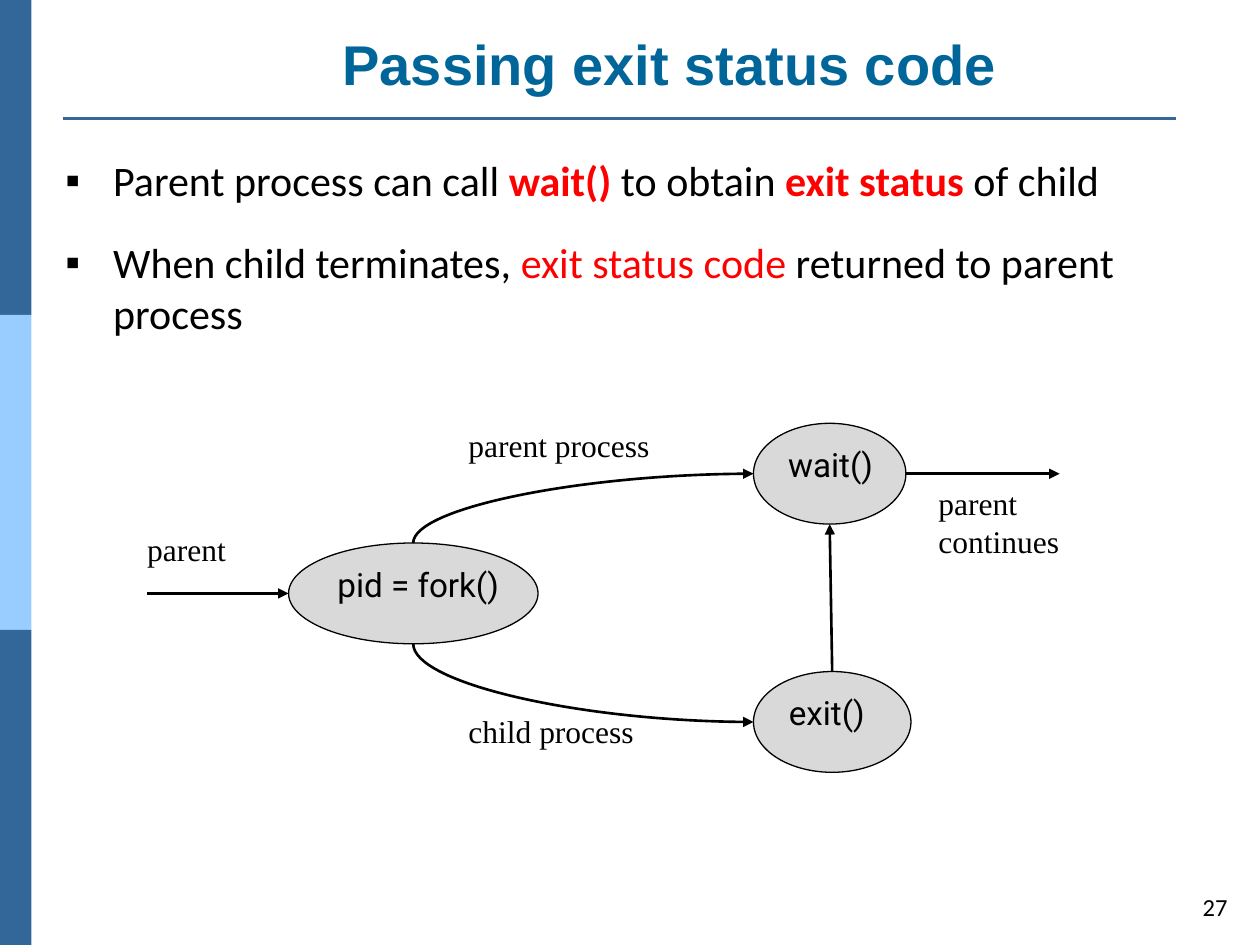
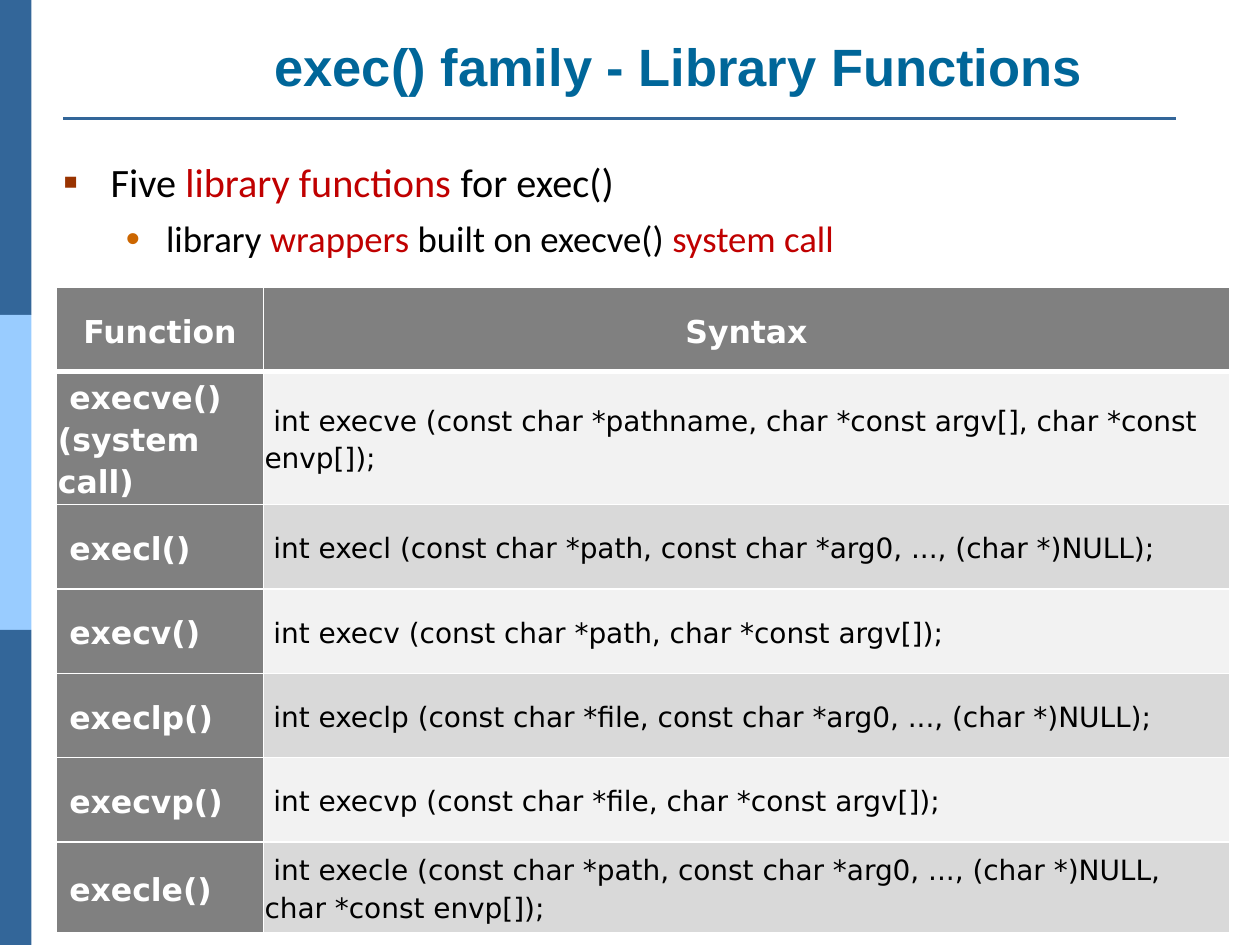
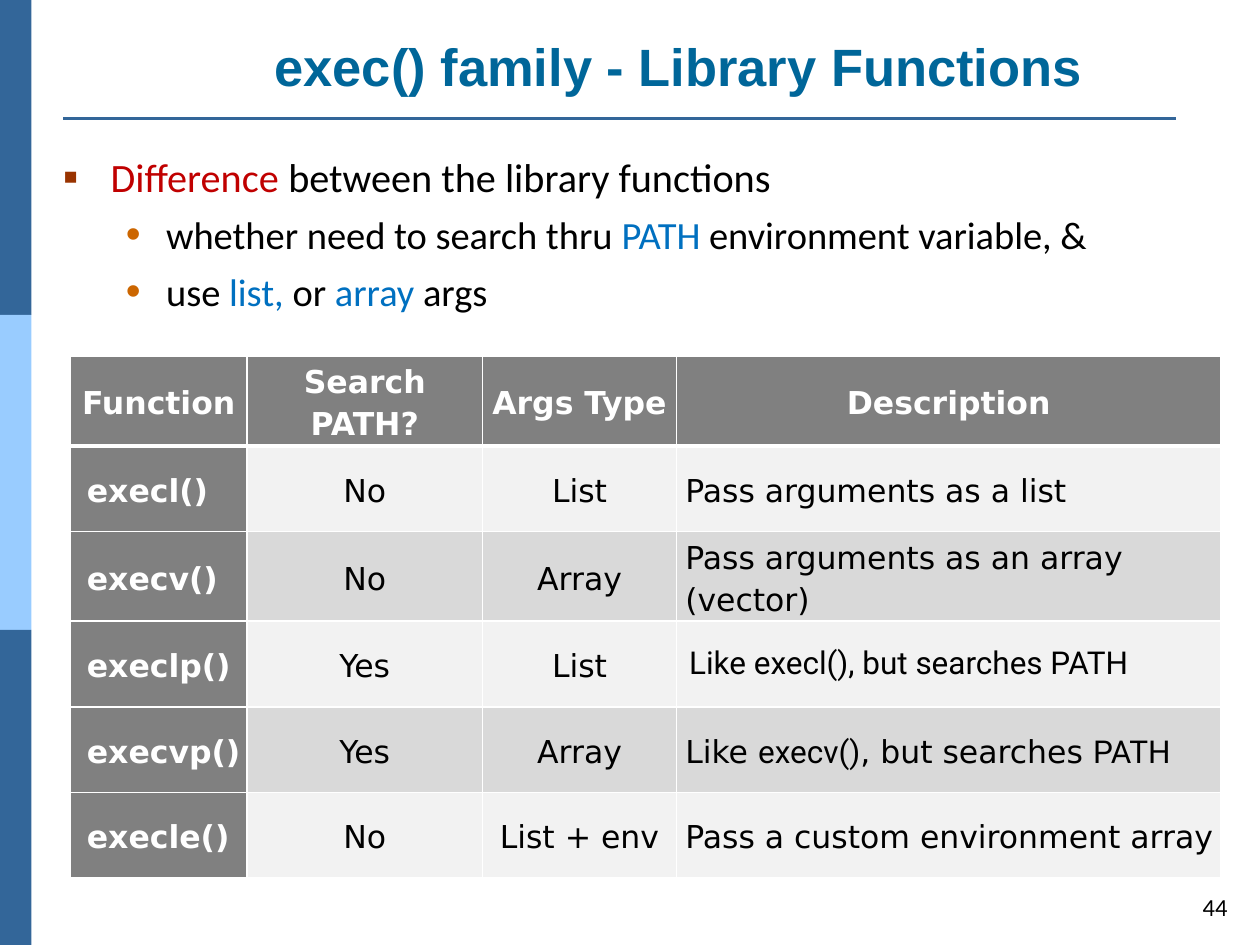
from dataclasses import dataclass

from lxml import etree
from pptx import Presentation
from pptx import util as u
from pptx.dml.color import RGBColor
from pptx.enum import shapes, text
from pptx.oxml.ns import qn


@dataclass(frozen=True)
class Theme:
    band: str = "336699"
    band_light: str = "99CCFF"
    title: str = "006699"
    black: str = "000000"
    white: str = "FFFFFF"
    alert: str = "FF0000"
    key: str = "C00000"
    option: str = "0070C0"
    square_bullet: str = "993300"
    dot_bullet: str = "CC6600"
    node: str = "D9D9D9"
    head_cell: str = "808080"
    row_cells: tuple = ("F2F2F2", "D9D9D9")
    title_font: str = "Arial"
    body_font: str = "Calibri"
    table_font: str = "DejaVu Sans"
    code_font: str = "Roboto"
    label_font: str = "Times New Roman"
    number_size: int = 14
    node_size: int = 19
    label_size: int = 18
    cell_size: int = 18
    syntax_size: int = 16


THEME = Theme()
RUN_STYLES = {
    "alert": {"color": THEME.alert},
    "strong": {"color": THEME.alert, "bold": True},
    "key": {"color": THEME.key},
    "option": {"color": THEME.option},
    "code": {"font": THEME.code_font},
}
MIDDLE, TOP = text.MSO_ANCHOR.MIDDLE, text.MSO_ANCHOR.TOP
LEFT, CENTER, RIGHT = text.PP_ALIGN.LEFT, text.PP_ALIGN.CENTER, text.PP_ALIGN.RIGHT

STATUS_TITLE = {"text": "Passing exit status code", "size": 32,
                "box": (1.13, 0.12, 8.37, 0.76), "anchor": MIDDLE}
EXEC_TITLE = {"text": "exec() family - Library Functions", "size": 30,
              "box": (0.98, 0.22, 8.81, 0.61), "anchor": TOP}

PLAIN_SQUARE = {"char": "▪", "level": 0, "margin": 0.38, "hang": 0.38,
                "color": THEME.black, "percent": 100}
SQUARE = {**PLAIN_SQUARE, "color": THEME.square_bullet, "percent": 110}
DOT = {"char": "•", "level": 1, "margin": 0.82, "hang": 0.32,
       "color": THEME.dot_bullet, "percent": 110}

STATUS_BULLETS = [
    (PLAIN_SQUARE, 24, ["Parent process can call ", ("wait() ", "strong"), "to obtain ",
                        ("exit status ", "strong"), "of child"]),
    (PLAIN_SQUARE, 24, ["When child terminates, ", ("exit status code ", "alert"),
                        "returned to parent process"]),
]
SYNTAX_BULLETS = [
    (SQUARE, 23, ["Five ", ("library functions ", "key"), "for exec()"]),
    (DOT, 21, ["library ", ("wrappers", "key"), " built on execve() ", ("system call", "key")]),
]
DIFFERENCE_BULLETS = [
    (SQUARE, 23, [("Difference ", "key"), "between the library functions"]),
    (DOT, 22, ["whether need to search thru ", ("PATH", "option"), " environment variable, &"]),
    (DOT, 22, ["use ", ("list,", "option"), " or ", ("array ", "option"), "args"]),
]

NODES = {
    "fork": ("pid = fork()", (2.29, 4.31, 1.98, 0.8)),
    "wait": ("wait()", (5.98, 3.36, 1.21, 0.8)),
    "exit": ("exit()", (5.98, 5.33, 1.25, 0.8)),
}
FLOW_LABELS = [
    ("parent", (1.07, 4.16, 1.34, 0.43)),
    ("parent process", (3.62, 3.33, 2.03, 0.43)),
    ("child process", (3.62, 5.6, 1.84, 0.43)),
    ("parent continues", (7.35, 3.79, 1.34, 0.76)),
]

SYNTAX_TABLE = {
    "origin": (0.45, 2.28),
    "widths": [1.64, 7.67],
    "heights": [0.67] * 6 + [0.72],
    "columns": [
        {"first": 0.09},
        {"first": 0.07, "size": THEME.syntax_size},
    ],
    "rows": [
        ["Function", "Syntax"],
        ["execve() (system call)",
         "int execve (const char *pathname, char *const argv[], char *const envp[]);"],
        ["execl()", "int execl (const char *path, const char *arg0, ..., (char *)NULL);"],
        ["execv()", "int execv (const char *path, char *const argv[]);"],
        ["execlp()", "int execlp (const char *file, const char *arg0, ..., (char *)NULL);"],
        ["execvp()", "int execvp (const char *file, char *const argv[]);"],
        ["execle()",
         "int execle (const char *path, const char *arg0, ..., (char *)NULL, char *const envp[]);"],
    ],
}
DIFFERENCE_TABLE = {
    "origin": (0.56, 2.83),
    "widths": [1.4, 1.87, 1.54, 4.32],
    "heights": [0.68] * 6,
    "columns": [{"margin": 0.12}, {"align": CENTER}, {"align": CENTER}, {"margin": 0.06}],
    "rows": [
        ["Function", "Search PATH?", "Args Type", "Description"],
        ["execl()", "No", "List", "Pass arguments as a list"],
        ["execv()", "No", "Array", "Pass arguments as an array (vector)"],
        ["execlp()", "Yes", "List", [("Like execl(), but searches PATH", "code")]],
        ["execvp()", "Yes", "Array",
         ["Like ", ("execv()", "code"), ", but searches ", ("PATH", "code")]],
        ["execle()", "No", "List + env", "Pass a custom environment array"],
    ],
}


def inches(values):
    return [u.Inches(value) for value in values]


def rgb(color):
    return RGBColor.from_string(color)


def add_xml(parent, tag, **attributes):
    child = etree.SubElement(parent, qn(tag))
    for name, value in attributes.items():
        child.set(name, str(value))
    return child


def write_runs(paragraph, runs, font, size, color=THEME.black, bold=False):
    for item in [runs] if isinstance(runs, str) else runs:
        words, style_name = (item, None) if isinstance(item, str) else item
        style = RUN_STYLES.get(style_name, {})
        run = paragraph.add_run()
        run.text = words
        run.font.name = style.get("font", font)
        run.font.size = u.Pt(size)
        run.font.bold = style.get("bold", bold)
        run.font.color.rgb = rgb(style.get("color", color))


def add_text(slide, box, runs, font, size, align=LEFT, anchor=TOP):
    frame = slide.shapes.add_textbox(*inches(box)).text_frame
    frame.word_wrap = True
    frame.vertical_anchor = anchor
    frame.paragraphs[0].alignment = align
    write_runs(frame.paragraphs[0], runs, font, size)


def add_filled(slide, kind, box, color):
    shape = slide.shapes.add_shape(kind, *inches(box))
    shape.shadow.inherit = False
    shape.fill.solid()
    shape.fill.fore_color.rgb = rgb(color)
    shape.line.fill.background()
    return shape


def add_line(slide, start, end, color=THEME.black, arrow=False):
    connector = slide.shapes.add_connector(
        shapes.MSO_CONNECTOR.STRAIGHT, *inches(start + end))
    connector.line.width = u.Pt(1.5)
    connector.line.color.rgb = rgb(color)
    properties = connector._element.spPr
    if arrow:
        add_xml(properties.find(qn("a:ln")), "a:tailEnd", type="triangle")
    add_xml(properties, "a:effectLst")
    return connector


def add_curve(slide, start, end):
    connector = add_line(slide, start, end, arrow=True)
    rising = end[1] < start[1]
    width, height = abs(end[1] - start[1]), abs(end[0] - start[0])
    connector.left = u.Inches((start[0] + end[0] - width) / 2)
    connector.top = u.Inches((start[1] + end[1] - height) / 2)
    connector.width, connector.height = inches((width, height))
    properties = connector._element.spPr
    properties.find(qn("a:prstGeom")).set("prst", "curvedConnector2")
    transform = properties.find(qn("a:xfrm"))
    transform.set("rot", str((90 if rising else 270) * 60000))
    transform.set("flipH", "1")
    transform.set("flipV", "1" if rising else "0")


def add_base(presentation, title, number=None):
    slide = presentation.slides.add_slide(presentation.slide_layouts[5])
    for index, color in enumerate((THEME.band, THEME.band_light, THEME.band)):
        add_filled(slide, shapes.MSO_SHAPE.RECTANGLE, (0, index * 2.5, 0.25, 2.5), color)
    add_line(slide, (0.5, 0.94), (9.33, 0.94), THEME.band)
    holder = slide.shapes.title
    holder.left, holder.top, holder.width, holder.height = inches(title["box"])
    frame = holder.text_frame
    frame.auto_size = text.MSO_AUTO_SIZE.NONE
    frame.word_wrap = True
    frame.vertical_anchor = title["anchor"]
    frame.paragraphs[0].alignment = CENTER
    write_runs(frame.paragraphs[0], title["text"], THEME.title_font,
               title["size"], THEME.title, True)
    if number:
        add_text(slide, (9.39, 6.99, 0.45, 0.41), number, THEME.body_font,
                 THEME.number_size, RIGHT, MIDDLE)
    return slide


def add_bullets(slide, box, bullets, gap):
    frame = slide.shapes.add_textbox(*inches(box)).text_frame
    frame.word_wrap = True
    for index, (bullet, size, runs) in enumerate(bullets):
        paragraph = frame.add_paragraph() if index else frame.paragraphs[0]
        paragraph.level = bullet["level"]
        properties = paragraph._p.get_or_add_pPr()
        properties.set("marL", str(u.Inches(bullet["margin"])))
        properties.set("indent", str(-u.Inches(bullet["hang"])))
        add_xml(add_xml(properties, "a:buClr"), "a:srgbClr", val=bullet["color"])
        add_xml(properties, "a:buSzPct", val=bullet["percent"] * 1000)
        add_xml(properties, "a:buFont", typeface=THEME.title_font)
        add_xml(properties, "a:buChar", char=bullet["char"])
        paragraph.space_before = u.Pt(gap if index else 0)
        write_runs(paragraph, runs, THEME.body_font, size)


def add_borders(cell, bottom):
    properties = cell._tc.get_or_add_tcPr()
    for side, width in (("L", 1), ("R", 1), ("T", 1), ("B", bottom)):
        border = add_xml(properties, f"a:ln{side}", w=u.Pt(width))
        add_xml(add_xml(border, "a:solidFill"), "a:srgbClr", val=THEME.white)


def fill_cell(cell, runs, column, row_index, column_index):
    is_header, is_label = row_index == 0, column_index == 0
    dark = is_header or is_label
    all_code = not isinstance(runs, str) and all(
        not isinstance(run, str) and run[1] == "code" for run in runs)
    add_borders(cell, 3 if is_header else 1)
    cell.fill.solid()
    cell.fill.fore_color.rgb = rgb(
        THEME.head_cell if dark else THEME.row_cells[(row_index - 1) % 2])
    cell.vertical_anchor = MIDDLE
    paragraph = cell.text_frame.paragraphs[0]
    if not all_code:
        cell.margin_left = cell.margin_right = u.Inches(0.01)
        cell.margin_top = cell.margin_bottom = u.Inches(0.01)
        paragraph.line_spacing = 1.15
        paragraph.space_after = u.Pt(8)
        if not is_header:
            properties = paragraph._p.get_or_add_pPr()
            properties.set("marL", str(u.Inches(column.get("margin", 0))))
            properties.set("indent", str(u.Inches(column.get("first", 0))))
    paragraph.alignment = CENTER if is_header else column.get("align", LEFT)
    size = THEME.cell_size if is_header else column.get("size", THEME.cell_size)
    write_runs(paragraph, runs, THEME.table_font, size,
               THEME.white if dark else THEME.black, dark)


def add_grid(slide, content):
    widths, heights, rows = content["widths"], content["heights"], content["rows"]
    box = (*content["origin"], sum(widths), sum(heights))
    table = slide.shapes.add_table(len(rows), len(widths), *inches(box)).table
    for column, width in zip(table.columns, widths):
        column.width = u.Inches(width)
    for row_index, row in enumerate(rows):
        table.rows[row_index].height = u.Inches(heights[row_index])
        for column_index, runs in enumerate(row):
            fill_cell(table.cell(row_index, column_index), runs,
                      content["columns"][column_index], row_index, column_index)


def node_point(name, across, down):
    left, top, width, height = NODES[name][1]
    return left + across * width, top + down * height


def add_process_flow(slide):
    for label, box in NODES.values():
        node = add_filled(slide, shapes.MSO_SHAPE.OVAL, box, THEME.node)
        node.line.color.rgb = rgb(THEME.black)
        node.line.width = u.Pt(0.75)
        frame = node.text_frame
        frame.word_wrap = False
        frame.vertical_anchor = TOP
        frame.paragraphs[0].alignment = LEFT
        write_runs(frame.paragraphs[0], label, THEME.code_font, THEME.node_size)
    add_curve(slide, node_point("fork", 0.5, 0), node_point("wait", 0, 0.5))
    add_curve(slide, node_point("fork", 0.5, 1), node_point("exit", 0, 0.5))
    fork_left, wait_right = node_point("fork", 0, 0.5), node_point("wait", 1, 0.5)
    for start, end in (
        (node_point("exit", 0.5, 0), node_point("wait", 0.5, 1)),
        (wait_right, (8.41, wait_right[1])),
        ((1.17, fork_left[1]), fork_left),
    ):
        add_line(slide, start, end, arrow=True)
    for label, box in FLOW_LABELS:
        add_text(slide, box, label, THEME.label_font, THEME.label_size)


def main():
    presentation = Presentation()
    presentation.slide_width, presentation.slide_height = inches((10, 7.5))

    status_slide = add_base(presentation, STATUS_TITLE, "27")
    add_bullets(status_slide, (0.42, 1.18, 9.43, 1.71), STATUS_BULLETS, 18)
    add_process_flow(status_slide)

    syntax_slide = add_base(presentation, EXEC_TITLE)
    add_bullets(syntax_slide, (0.4, 1.2, 9.46, 0.97), SYNTAX_BULLETS, 6)
    add_grid(syntax_slide, SYNTAX_TABLE)

    difference_slide = add_base(presentation, EXEC_TITLE, "44")
    add_grid(difference_slide, DIFFERENCE_TABLE)
    add_bullets(difference_slide, (0.4, 1.16, 9.46, 1.46), DIFFERENCE_BULLETS, 6)

    presentation.save("out.pptx")


if __name__ == "__main__":
    main()
